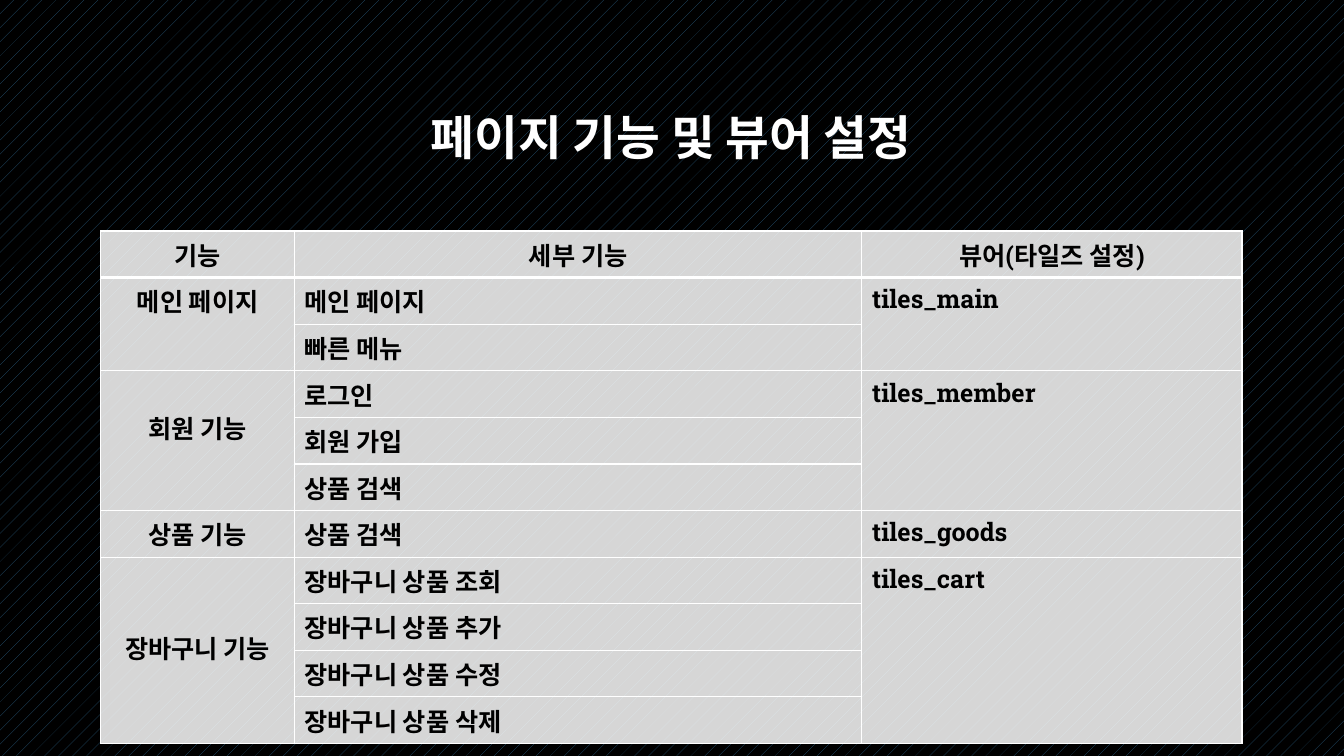
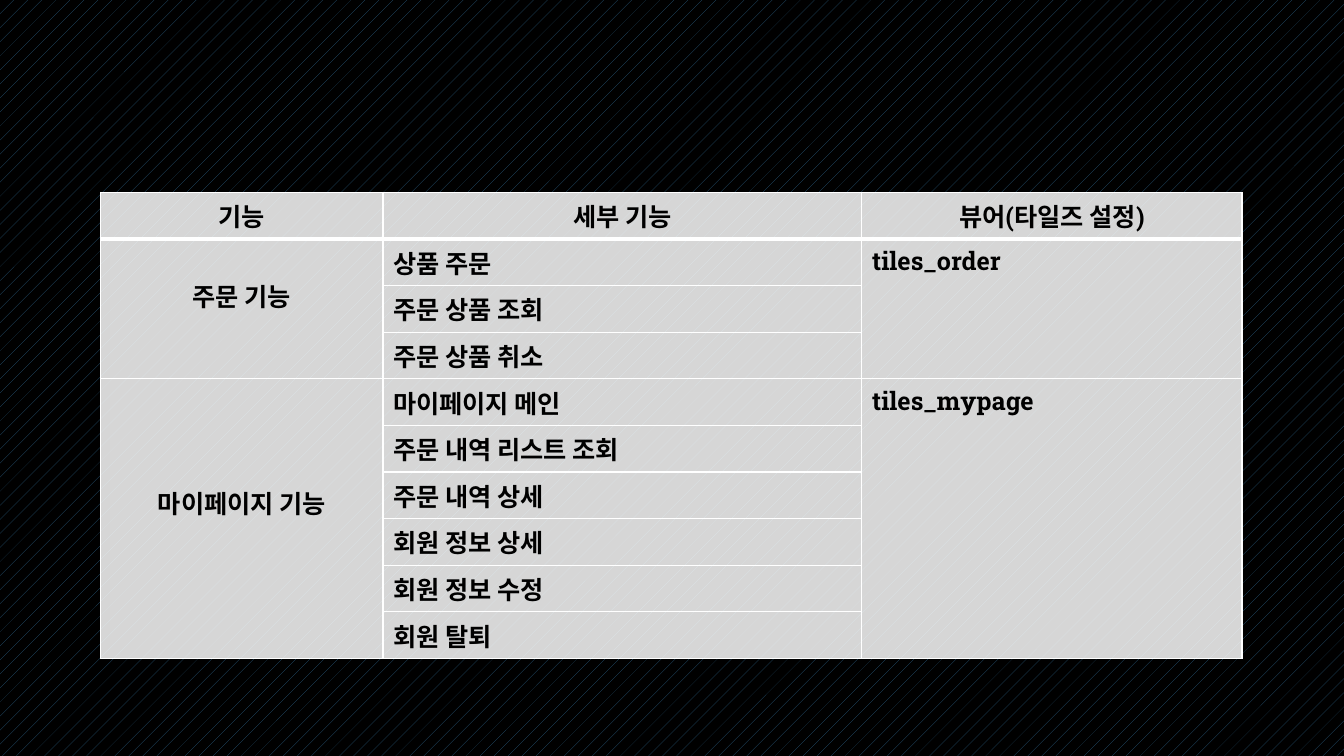
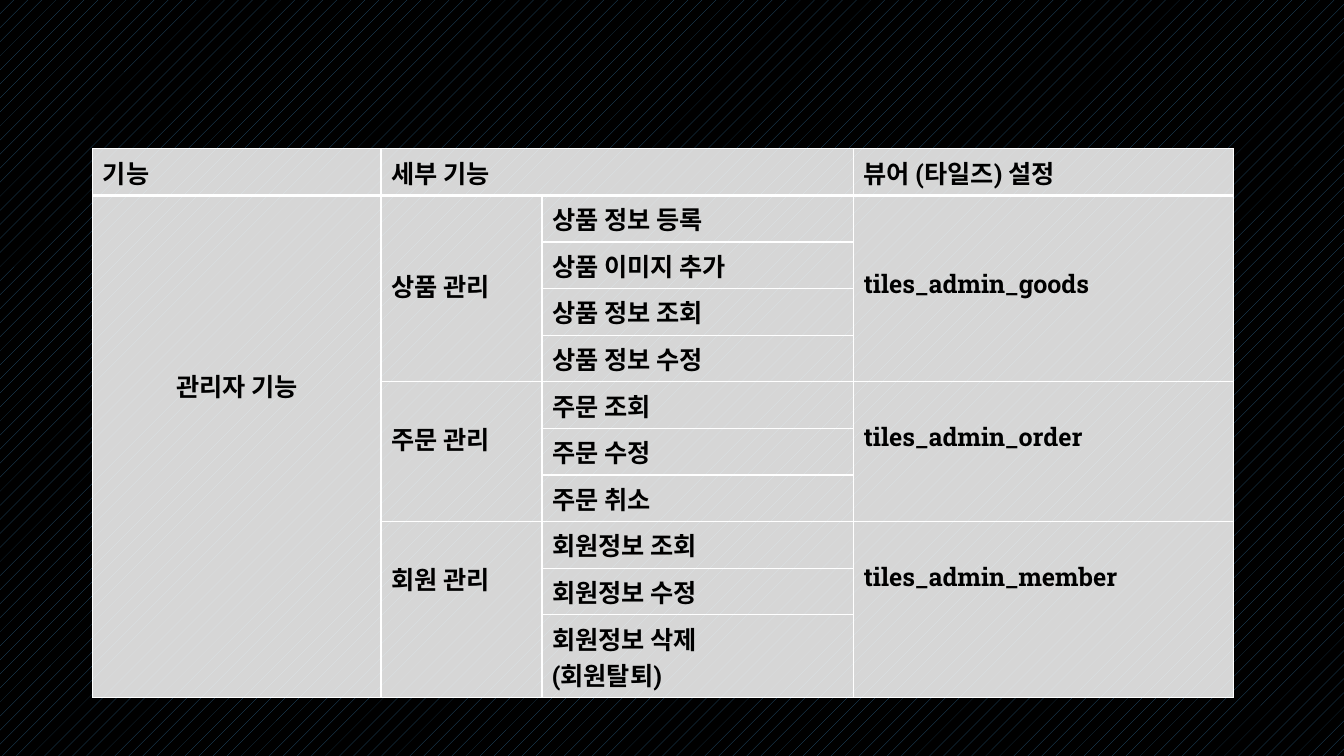
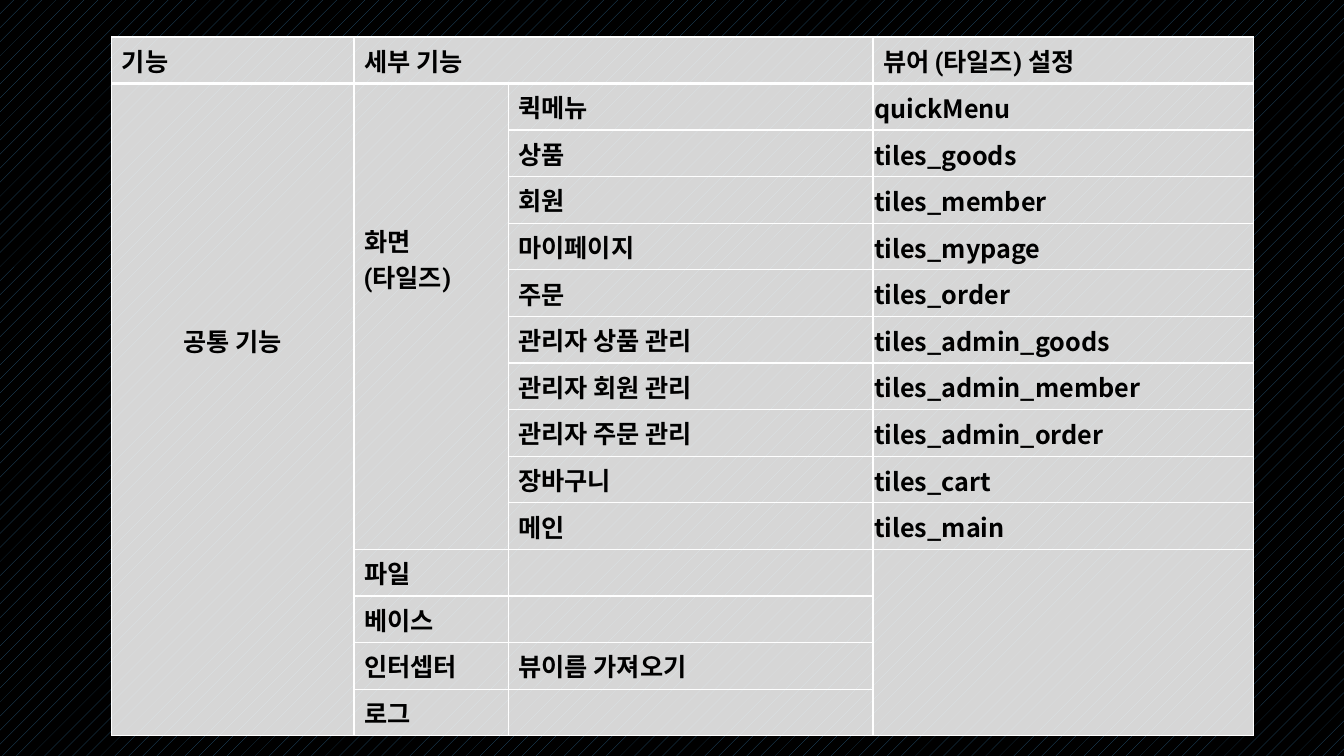
from lxml.etree import SubElement
from pptx import Presentation
from pptx.dml.color import RGBColor
from pptx.enum.dml import MSO_PATTERN
from pptx.enum.text import MSO_ANCHOR, PP_ALIGN
from pptx.oxml.ns import qn
from pptx.util import Cm, Pt

WHITE = RGBColor(0xFF, 0xFF, 0xFF)
BLACK = RGBColor(0x00, 0x00, 0x00)
DOT_BLUE = RGBColor(0x2A, 0x5B, 0x7F)
SLAB = "Roboto Slab"
SANS = "Noto Sans CJK KR"
TITLE_ONLY, BLANK = 5, 6
ROW_HEIGHT = 1.17
TEXT_LINE = 0.92
LATIN_LINE = 0.84
CELL_MARGIN = 0.13
THIN, THICK = Pt(1), Pt(3)
CENTRED_HEADER = ("기능", "세부 기능", "뷰어(타일즈 설정)")
WIDE_HEADER = ("기능", "세부 기능", None, "뷰어 (타일즈) 설정")

SHOP_ROWS = [
    ("메인 페이지", "메인 페이지", "tiles_main"),
    (None, "빠른 메뉴", None),
    ("회원 기능", "로그인", "tiles_member"),
    (None, "회원 가입", None),
    (None, "상품 검색", None),
    ("상품 기능", "상품 검색", "tiles_goods"),
    ("장바구니 기능", "장바구니 상품 조회", "tiles_cart"),
    (None, "장바구니 상품 추가", None),
    (None, "장바구니 상품 수정", None),
    (None, "장바구니 상품 삭제", None),
]
ORDER_ROWS = [
    ("주문 기능", "상품 주문", "tiles_order"),
    (None, "주문 상품 조회", None),
    (None, "주문 상품 취소", None),
    ("마이페이지 기능", "마이페이지 메인", "tiles_mypage"),
    (None, "주문 내역 리스트 조회", None),
    (None, "주문 내역 상세", None),
    (None, "회원 정보 상세", None),
    (None, "회원 정보 수정", None),
    (None, "회원 탈퇴", None),
]
ADMIN_ROWS = [
    ("관리자 기능", "상품 관리", "상품 정보 등록", "tiles_admin_goods"),
    (None, None, "상품 이미지 추가", None),
    (None, None, "상품 정보 조회", None),
    (None, None, "상품 정보 수정", None),
    (None, "주문 관리", "주문 조회", "tiles_admin_order"),
    (None, None, "주문 수정", None),
    (None, None, "주문 취소", None),
    (None, "회원 관리", "회원정보 조회", "tiles_admin_member"),
    (None, None, "회원정보 수정", None),
    (None, None, "회원정보 삭제\n(회원탈퇴)", None),
]
COMMON_ROWS = [
    ("공통 기능", "화면\n(타일즈)", "퀵메뉴", "quickMenu"),
    (None, None, "상품", "tiles_goods"),
    (None, None, "회원", "tiles_member"),
    (None, None, "마이페이지", "tiles_mypage"),
    (None, None, "주문", "tiles_order"),
    (None, None, "관리자 상품 관리", "tiles_admin_goods"),
    (None, None, "관리자 회원 관리", "tiles_admin_member"),
    (None, None, "관리자 주문 관리", "tiles_admin_order"),
    (None, None, "장바구니", "tiles_cart"),
    (None, None, "메인", "tiles_main"),
    (None, "파일", "", ""),
    (None, "베이스", "", None),
    (None, "인터셉터", "뷰이름 가져오기", None),
    (None, "로그", "", None),
]


def style_text(frame, size, color, align, font=SLAB):
    """Give every paragraph of a frame one bold style."""
    for para in frame.paragraphs:
        para.alignment = align
        para.font.size = Pt(size)
        para.font.bold = True
        para.font.color.rgb = color
        para.font.name = font
        defaults = para._p.pPr.find(qn("a:defRPr"))
        SubElement(defaults, qn("a:ea")).set("typeface", SANS)


def style_cell(cell, top, bottom):
    """Set the white borders and the translucent white fill of a cell."""
    properties = cell._tc.get_or_add_tcPr()
    for side, width in (("L", THIN), ("R", THIN), ("T", top), ("B", bottom)):
        line = SubElement(properties, qn(f"a:ln{side}"), w=str(int(width)))
        fill = SubElement(line, qn("a:solidFill"))
        SubElement(fill, qn("a:srgbClr"), val=str(WHITE))
    cell.fill.solid()
    cell.fill.fore_color.rgb = WHITE
    color = properties.find(qn("a:solidFill")).find(qn("a:srgbClr"))
    SubElement(color, qn("a:alpha"), val="84000")


def count_span(entries):
    """Count the first entry and the None entries that follow it."""
    span = 1
    while span < len(entries) and entries[span] is None:
        span += 1
    return span


def add_title(page, text, left, top, width, height):
    """Place the title placeholder in the given box."""
    title = page.shapes.title
    title.left, title.top = Cm(left), Cm(top)
    title.width, title.height = Cm(width), Cm(height)
    frame = title.text_frame
    frame.text = text
    frame.vertical_anchor = MSO_ANCHOR.MIDDLE
    style_text(frame, 34, WHITE, PP_ALIGN.CENTER)
    frame.paragraphs[0].line_spacing = 0.9


def add_feature_table(page, left, top, widths, header, body,
                      lowered=(0,), flush_viewer=False):
    """Place a feature table in which None continues the cell before it."""
    rows = [header, *body]
    heights = [
        ROW_HEIGHT + TEXT_LINE * max((text or "").count("\n") for text in row[-2:])
        for row in rows
    ]
    table = page.shapes.add_table(
        len(rows), len(widths), Cm(left), Cm(top),
        Cm(sum(widths)), Cm(sum(heights))).table
    table.first_row = table.horz_banding = False
    for column, width in zip(table.columns, widths):
        column.width = Cm(width)
    for row, height in zip(table.rows, heights):
        row.height = Cm(height)

    for r, row in enumerate(rows):
        for c, text in enumerate(row):
            cell = table.cell(r, c)
            style_cell(cell, THICK if r == 1 else THIN, THICK if r == 0 else THIN)
            if text is None:
                continue
            across = count_span(row[c:]) if r == 0 else 1
            down = count_span([line[c] for line in rows[r:]]) if r else 1
            if across > 1 or down > 1:
                cell.merge(table.cell(r + down - 1, c + across - 1))
            cell.text = text
            centred = header is CENTRED_HEADER if r == 0 else c == 0
            flush = flush_viewer and r > 0 and c == len(widths) - 1
            style_text(cell.text_frame, 18, BLACK,
                       PP_ALIGN.CENTER if centred else PP_ALIGN.LEFT,
                       SANS if flush else SLAB)
            if flush:
                cell.vertical_anchor = MSO_ANCHOR.MIDDLE
                cell.margin_left = cell.margin_top = cell.margin_right = Cm(0.03)
                cell.margin_bottom = Cm(0)
            elif c in lowered and down > 2:
                lines = down // 2 - text.count("\n")
                cell.margin_top = Cm(CELL_MARGIN + LATIN_LINE * lines)


def main():
    """Build the four pages and save the deck."""
    deck = Presentation()
    deck.slide_width, deck.slide_height = Cm(33.87), Cm(19.05)
    backdrop = deck.slide_master.background.fill
    backdrop.patterned()
    backdrop.pattern = MSO_PATTERN.PERCENT_5
    backdrop.fore_color.rgb = DOT_BLUE
    backdrop.back_color.rgb = BLACK

    layouts = [TITLE_ONLY, BLANK, BLANK, BLANK]
    shop, order, admin, common = [
        deck.slides.add_slide(deck.slide_layouts[index]) for index in layouts]
    add_title(shop, "페이지 기능 및 뷰어 설정", 2.54, 1.7, 28.75, 3.68)
    add_feature_table(shop, 2.54, 5.82, (4.88, 14.3, 9.58),
                      CENTRED_HEADER, SHOP_ROWS)
    add_feature_table(order, 2.54, 4.85, (7.11, 12.07, 9.58),
                      CENTRED_HEADER, ORDER_ROWS)
    add_feature_table(admin, 2.34, 3.75, (7.26, 4.06, 7.85, 9.58),
                      WIDE_HEADER, ADMIN_ROWS, lowered=(0, 1, 3))
    add_feature_table(common, 2.82, 0.93, (6.1, 3.89, 9.19, 9.58),
                      WIDE_HEADER, COMMON_ROWS, lowered=(0, 1), flush_viewer=True)
    deck.save("out.pptx")


if __name__ == "__main__":
    main()
